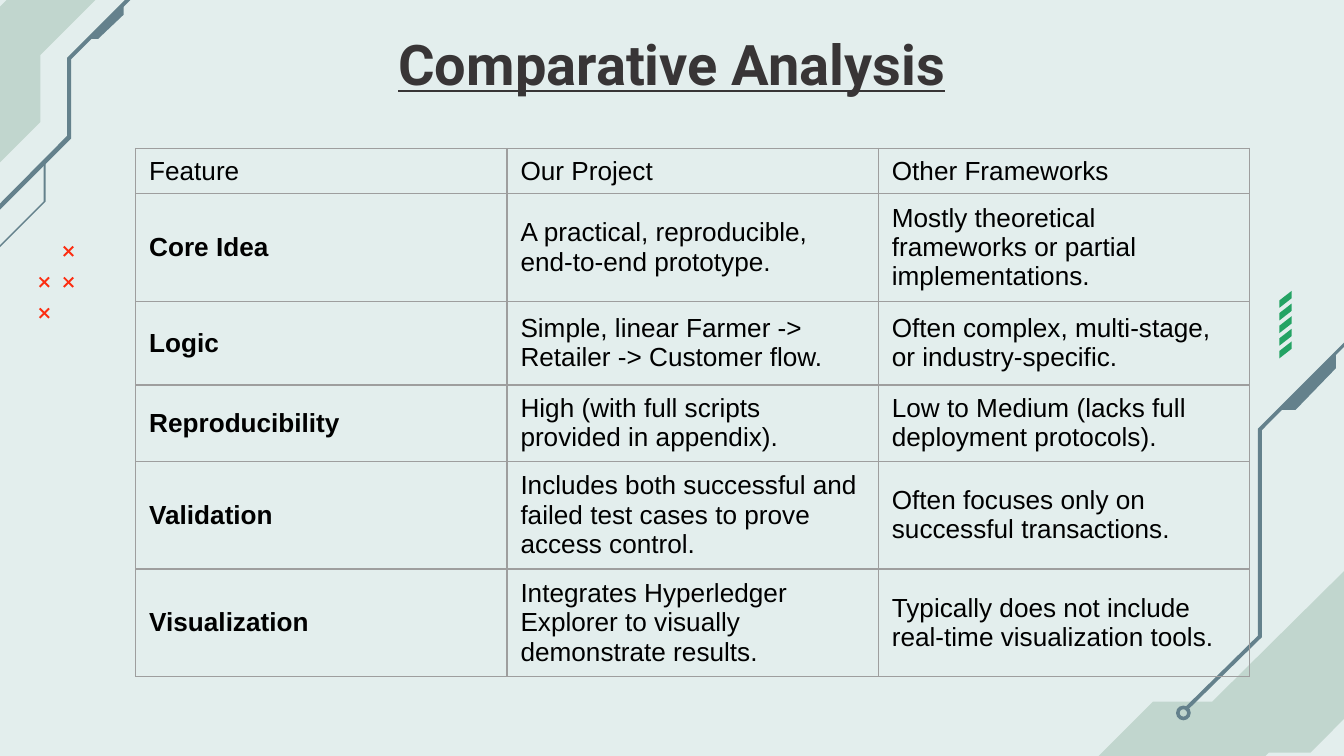
from dataclasses import dataclass

from lxml import etree
from pptx import Presentation
from pptx import util as u
from pptx.dml.color import RGBColor
from pptx.enum import shapes, text
from pptx.oxml.ns import qn


@dataclass(frozen=True)
class Theme:
    background: str = "E3EEED"
    panel: str = "C1D6CE"
    circuit: str = "64818C"
    stripe: str = "24A364"
    cross: str = "FC2E12"
    heading: str = "383536"
    body: str = "000000"
    border: str = "9E9E9E"
    heading_font: str = "Roboto"
    body_font: str = "Arial"
    heading_size: int = 30
    body_size: int = 14
    border_width: float = 0.75


@dataclass(frozen=True)
class Box:
    x: float
    y: float
    w: float
    h: float


THEME = Theme()
WIDTH, HEIGHT = u.Inches(10), u.Inches(5.625)
COLUMNS = 100

ROWS = [
    ("Feature", "Our Project", "Other Frameworks"),
    ("Core Idea", "A practical, reproducible, end-to-end prototype.",
     "Mostly theoretical frameworks or partial implementations."),
    ("Logic", "Simple, linear Farmer -> Retailer -> Customer flow.",
     "Often complex, multi-stage, or industry-specific."),
    ("Reproducibility", "High (with full scripts provided in appendix).",
     "Low to Medium (lacks full deployment protocols)."),
    ("Validation",
     "Includes both successful and failed test cases to prove access control.",
     "Often focuses only on successful transactions."),
    ("Visualization",
     "Integrates Hyperledger Explorer to visually demonstrate results.",
     "Typically does not include real-time visualization tools."),
]
ROW_SHARES = [3.35, 7.95, 6.25, 5.65, 7.95, 7.95]


def grid(value):
    return u.Emu(round(value * WIDTH / COLUMNS))


def rgb(value):
    return RGBColor.from_string(value)


def place(box):
    return [grid(v) for v in (box.x, box.y, box.w, box.h)]


def paint(sp, color):
    sp.shadow.inherit = False
    sp.fill.solid()
    sp.fill.fore_color.rgb = rgb(color)
    sp.line.fill.background()


def outline(slide, box, points, color):
    start, *rest = [(grid(box.x + x), grid(box.y + y)) for x, y in points]
    builder = slide.shapes.build_freeform(*start)
    builder.add_line_segments(rest, close=True)
    paint(builder.convert_to_shape(), color)


def set_font(p, name, size, color, bold):
    p.font.name = name
    p.font.size = u.Pt(size)
    p.font.color.rgb = rgb(color)
    p.font.bold = bold


def lower_corner(slide, box):
    outline(slide, box, [
        (23.8, 23.8), (13.7, 33.8), (9.3, 33.8), (3.6, 39.5), (3.6, 42.1),
        (0, 45.7), (9.8, 45.7), (17.9, 37.6), (21, 37.6), (26.9, 31.7),
        (26.9, 30.1), (33.2, 23.8)], THEME.panel)
    outline(slide, box, [
        (36.4, 0), (36.4, 6.3), (24.6, 6.3), (17.4, 13.6), (17.4, 29),
        (11.8, 34.5), (11.6, 34.3), (17.1, 28.9), (17.1, 13.5), (24.5, 6.1),
        (36.1, 6.1), (36.1, 0)], THEME.circuit)
    outline(slide, box, [
        (22.9, 7.8), (22.9, 9), (19.9, 12.1), (18.7, 12.1)], THEME.circuit)
    node = slide.shapes.add_shape(
        shapes.MSO_SHAPE.DONUT, *place(Box(box.x + 11, box.y + 34.1, 1.1, 1.1)))
    node.adjustments[0] = 0.25
    paint(node, THEME.circuit)


def stripes(slide, box, count=5):
    step = box.h / count
    for i in range(count):
        top = i * step
        outline(slide, box, [
            (box.w, top + 0.55), (0, top + 1.25), (0, top + 0.7), (box.w, top)],
            THEME.stripe)


def upper_corner(slide, box):
    outline(slide, box, [
        (8.4, -1.3), (3, 4.1), (3, 9.1), (-8, 20.1), (-8, 9.7),
        (-4.9, 6.6), (-4.9, 5.4), (8.4, -7.9)], THEME.panel)
    outline(slide, box, [
        (9.2, 0.4), (6.6, 2.9), (7.3, 2.9), (9.2, 1.1)], THEME.circuit)
    outline(slide, box, [
        (13.2, -3.5), (13, -3.7), (5, 4.3), (5, 10.1), (-5.6, 20.8),
        (-12.6, 20.8), (-12.6, 21.1), (-5.5, 21.1), (5.3, 10.3), (5.3, 4.4)],
        THEME.circuit)
    outline(slide, box, [
        (3.4, 12.1), (3.25, 12.1), (3.25, 15), (-0.3, 18.55), (-3.2, 18.55),
        (-3.2, 18.7), (-0.3, 18.7), (3.4, 15)], THEME.circuit)


def crosses(slide, box):
    size = 0.8
    bar = [(0, 0.1), (0.7, size), (size, 0.7), (0.1, 0)]
    mirrored = [(size - x, y) for x, y in bar]
    dx, dy = box.w - size, (box.h - size) / 2
    for column, row in [(1, 1), (1, 0), (0, 2), (0, 1)]:
        for points in (bar, mirrored):
            outline(slide, box,
                    [(column * dx + x, row * dy + y) for x, y in points],
                    THEME.cross)


def title(slide, box):
    tf = slide.shapes.add_textbox(*place(box)).text_frame
    tf.word_wrap = True
    tf.vertical_anchor = text.MSO_ANCHOR.MIDDLE
    p = tf.paragraphs[0]
    p.text = "Comparative Analysis"
    p.alignment = text.PP_ALIGN.CENTER
    set_font(p, THEME.heading_font, THEME.heading_size, THEME.heading, True)
    p.font.underline = True


def border(cell):
    tc_pr = cell._tc.get_or_add_tcPr()
    for side in ("lnL", "lnR", "lnT", "lnB"):
        ln = etree.SubElement(tc_pr, qn(f"a:{side}"),
                              w=str(u.Pt(THEME.border_width)))
        fill = etree.SubElement(ln, qn("a:solidFill"))
        etree.SubElement(fill, qn("a:srgbClr"), val=THEME.border)


def comparison(slide, box):
    table = slide.shapes.add_table(len(ROWS), len(ROWS[0]), *place(box)).table
    table.first_row = table.horz_banding = False
    for column in table.columns:
        column.width = grid(box.w / len(ROWS[0]))
    for i, (row, share) in enumerate(zip(ROWS, ROW_SHARES)):
        table.rows[i].height = grid(box.h * share / sum(ROW_SHARES))
        for j, words in enumerate(row):
            cell = table.cell(i, j)
            border(cell)
            cell.fill.background()
            cell.vertical_anchor = text.MSO_ANCHOR.MIDDLE
            p = cell.text_frame.paragraphs[0]
            p.text = words
            set_font(p, THEME.body_font, THEME.body_size, THEME.body,
                     i > 0 and j == 0)


def main():
    prs = Presentation()
    prs.slide_width, prs.slide_height = WIDTH, HEIGHT
    slide = prs.slides.add_slide(prs.slide_layouts[6])
    slide.background.fill.solid()
    slide.background.fill.fore_color.rgb = rgb(THEME.background)
    lower_corner(slide, Box(76.5, 18.4, 23.5, 37.85))
    stripes(slide, Box(95.2, 21.65, 0.9, 4.7))
    upper_corner(slide, Box(0, 0, 13.2, 21.1))
    crosses(slide, Box(2.9, 18.3, 2.6, 5.4))
    title(slide, Box(5.7, 1.5, 88.6, 6.4))
    comparison(slide, Box(10.1, 11.05, 82.9, 39.1))
    prs.save("out.pptx")


if __name__ == "__main__":
    main()
